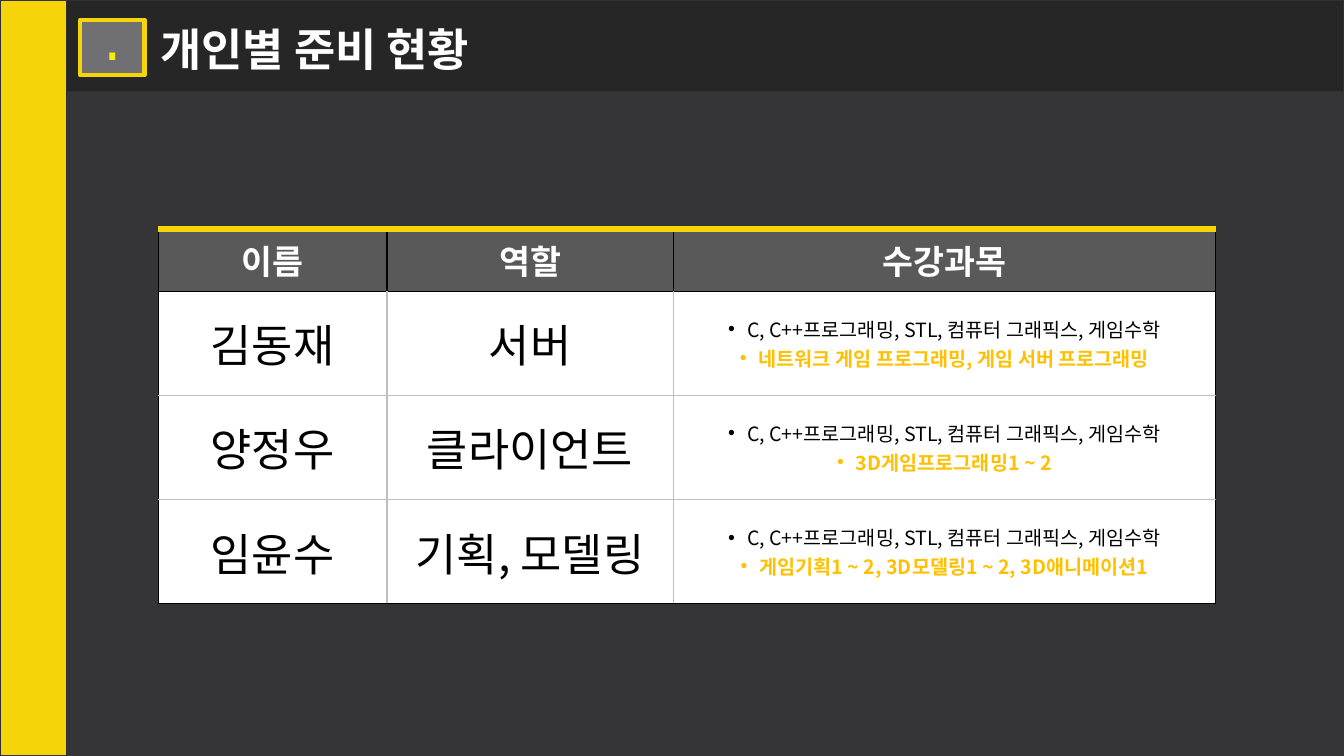
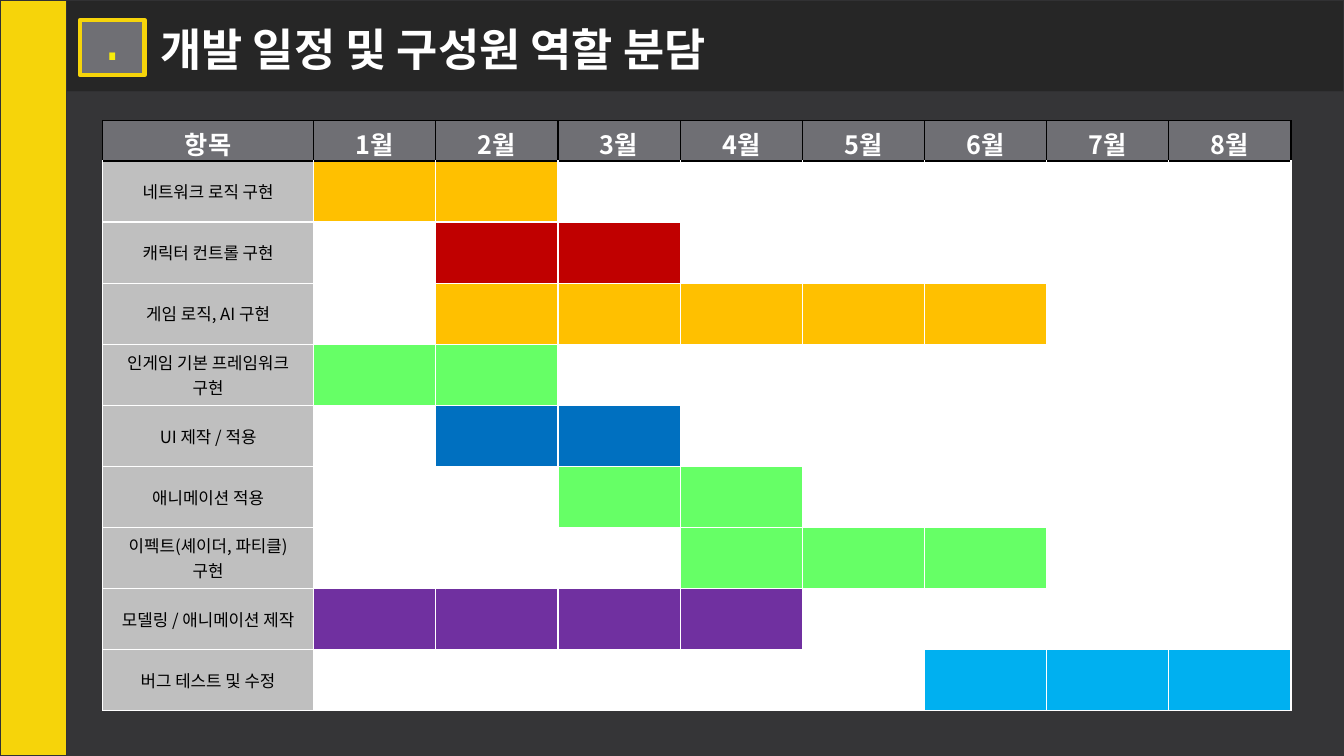
import pptx
import pptx.dml.color
import pptx.enum.shapes
import pptx.enum.text
import pptx.oxml
import pptx.oxml.ns
import pptx.util

Pt = pptx.util.Pt
qn = pptx.oxml.ns.qn
ALIGN = pptx.enum.text.PP_ALIGN
ANCHOR = pptx.enum.text.MSO_ANCHOR
RECT = pptx.enum.shapes.MSO_SHAPE.RECTANGLE
SANS = "Noto Sans CJK KR"
NS = pptx.oxml.ns.nsdecls("a")

HUES = {
    "back": "353537", "band": "262626", "rim": "313133", "gold": "F6D40A",
    "lemon": "F7EC09", "slate": "6F6F74", "ash": "595959", "silver": "BFBFBF",
    "white": "FFFFFF", "black": "000000", "amber": "FFC000", "red": "C00000",
    "green": "66FF66", "blue": "0070C0", "purple": "7030A0", "sky": "00B0F0",
}
TINTS = {name: pptx.dml.color.RGBColor.from_string(hue) for name, hue in HUES.items()}

LOOKS = {
    "title": ("white", {"name": SANS, "size": Pt(32), "bold": True}),
    "badge": ("lemon", {"name": "Arial Narrow", "size": Pt(36), "bold": True}),
    "head": ("white", {"name": SANS, "size": Pt(24), "bold": True}),
    "month": ("white", {"name": SANS, "size": Pt(18), "bold": True}),
    "name": ("black", {"name": SANS, "size": Pt(32), "bold": False}),
    "task": ("black", {"name": SANS, "size": Pt(12), "bold": False}),
    "base": ("black", {"name": SANS, "size": Pt(14), "bold": False}),
    "extra": ("amber", {"name": SANS, "size": Pt(14), "bold": True}),
}


def write(para, text, look, align=ALIGN.CENTER):
    para.alignment = align
    if look in ("base", "extra"):
        props = para._p.get_or_add_pPr()
        props.set("marL", str(Pt(13.5)))
        props.set("indent", str(-Pt(13.5)))
        props.append(pptx.oxml.parse_xml(f'<a:buFont {NS} typeface="Arial"/>'))
        props.append(pptx.oxml.parse_xml(f'<a:buChar {NS} char="•"/>'))
    run = para.add_run()
    run.text = text
    tint, style = LOOKS[look]
    run.font.color.rgb = TINTS[tint]
    for key, value in style.items():
        setattr(run.font, key, value)
    face = pptx.oxml.parse_xml(f'<a:ea {NS} typeface="{style["name"]}"/>')
    run.font._element.find(qn("a:latin")).addnext(face)


def dress(cell, lines, fill, edges):
    props = cell._tc.get_or_add_tcPr()
    for side, tint in edges.items():
        props.append(pptx.oxml.parse_xml(
            f'<a:ln{side} {NS} w="{Pt(1)}"><a:solidFill>'
            f'<a:srgbClr val="{HUES[tint]}"/></a:solidFill></a:ln{side}>'))
    cell.fill.solid()
    cell.fill.fore_color.rgb = TINTS[fill]
    cell.vertical_anchor = ANCHOR.MIDDLE
    frame = cell.text_frame
    for spot, (text, look) in enumerate(lines):
        write(frame.add_paragraph() if spot else frame.paragraphs[0], text, look)


SKILLS = "C, C++프로그래밍, STL, 컴퓨터 그래픽스, 게임수학"
TEAM = [
    ("김동재", "서버", "네트워크 게임 프로그래밍, 게임 서버 프로그래밍"),
    ("양정우", "클라이언트", "3D게임프로그래밍1 ~ 2"),
    ("임윤수", "기획, 모델링", "게임기획1 ~ 2, 3D모델링1 ~ 2, 3D애니메이션1"),
]
PLAN = [
    ("네트워크 로직 구현", 1, 2, "amber"),
    ("캐릭터 컨트롤 구현", 2, 3, "red"),
    ("게임 로직, AI 구현", 2, 6, "amber"),
    ("인게임 기본 프레임워크 구현", 1, 2, "green"),
    ("UI 제작 / 적용", 2, 3, "blue"),
    ("애니메이션 적용", 3, 4, "green"),
    ("이펙트(셰이더, 파티클) 구현", 4, 6, "green"),
    ("모델링 / 애니메이션 제작", 1, 4, "purple"),
    ("버그 테스트 및 수정", 6, 8, "sky"),
]
MONTHS = range(1, 9)

roster = [[([(text, "head")], "ash") for text in ("이름", "역할", "수강과목")]]
for person, role, extra in TEAM:
    roster.append([
        ([(person, "name")], "white"),
        ([(role, "name")], "white"),
        ([(SKILLS, "base"), (extra, "extra")], "white"),
    ])

chart = [[([(text, "month")], "slate") for text in ["항목"] + [f"{month}월" for month in MONTHS]]]
for task, first, last, tint in PLAN:
    bars = [([], tint if first <= month <= last else "white") for month in MONTHS]
    chart.append([([(task, "task")], "silver")] + bars)

PAGES = [
    {"title": "개인별 준비 현황", "width": 296, "cells": roster,
     "left": 113, "top": 163.4, "cols": [163.4, 204.5, 387.6],
     "rows": [44.6] + [74.4] * 3, "inner": "silver", "outer": "black", "rule": True},
    {"title": "개발 일정 및 구성원 역할 분담", "width": 453, "cells": chart,
     "left": 73.4, "top": 86.2, "cols": [150.6] + [87.3] * 8,
     "rows": [27.4] + [43.6] * 9, "inner": "white", "outer": "white", "rule": False},
]
BLOCKS = [
    (0, 0, 960, 65.5, "band", "rim", 1.1),
    (0, 0, 47.5, 540, "gold", "rim", 1.1),
    (57.3, 14.2, 46, 39.6, "slate", "gold", 3),
]

deck = pptx.Presentation()
deck.slide_width, deck.slide_height = Pt(960), Pt(540)
ground = deck.slide_master.background.fill
ground.solid()
ground.fore_color.rgb = TINTS["back"]

for page in PAGES:
    slide = deck.slides.add_slide(deck.slide_layouts[5])
    for *box, fill, line, weight in BLOCKS:
        block = slide.shapes.add_shape(RECT, *map(Pt, box))
        block.shadow.inherit = False
        block.fill.solid()
        block.fill.fore_color.rgb = TINTS[fill]
        block.line.color.rgb = TINTS[line]
        block.line.width = Pt(weight)
    badge = block.text_frame
    badge.word_wrap = True
    badge.vertical_anchor = ANCHOR.BOTTOM
    write(badge.paragraphs[0], ".", "badge")

    title = slide.shapes.title
    slide.shapes._spTree.append(title._element)
    place = {"left": 107.3, "top": 11.5, "width": page["width"], "height": 46}
    for key, value in place.items():
        setattr(title, key, Pt(value))
    frame = title.text_frame
    frame.word_wrap = True
    frame.auto_size = pptx.enum.text.MSO_AUTO_SIZE.SHAPE_TO_FIT_TEXT
    frame.vertical_anchor = ANCHOR.MIDDLE
    write(frame.paragraphs[0], page["title"], "title", ALIGN.LEFT)

    cols, rows = page["cols"], page["rows"]
    left, top, width = page["left"], page["top"], sum(cols)
    table = slide.shapes.add_table(
        len(rows), len(cols), Pt(left), Pt(top), Pt(width), Pt(sum(rows))).table
    table.first_row = table.horz_banding = False
    for col, size in zip(table.columns, cols):
        col.width = Pt(size)
    for row, size in zip(table.rows, rows):
        row.height = Pt(size)
    for y, row in enumerate(page["cells"]):
        for x, (lines, fill) in enumerate(row):
            rims = {"L": x == 0, "R": x == len(cols) - 1, "T": False, "B": y == len(rows) - 1}
            edges = {}
            for side, rim in rims.items():
                dark = y == 0 or (y == 1 and side == "T")
                edges[side] = "black" if dark else page["outer" if rim else "inner"]
            dress(table.cell(y, x), lines, fill, edges)

    if page["rule"]:
        rule = slide.shapes.add_connector(
            pptx.enum.shapes.MSO_CONNECTOR.STRAIGHT,
            Pt(left), Pt(top), Pt(left + width), Pt(top))
        rule.line.color.rgb = TINTS["gold"]
        rule.line.width = Pt(4.5)
        rule._element.spPr.append(pptx.oxml.parse_xml(f"<a:effectLst {NS}/>"))

deck.save("out.pptx")
